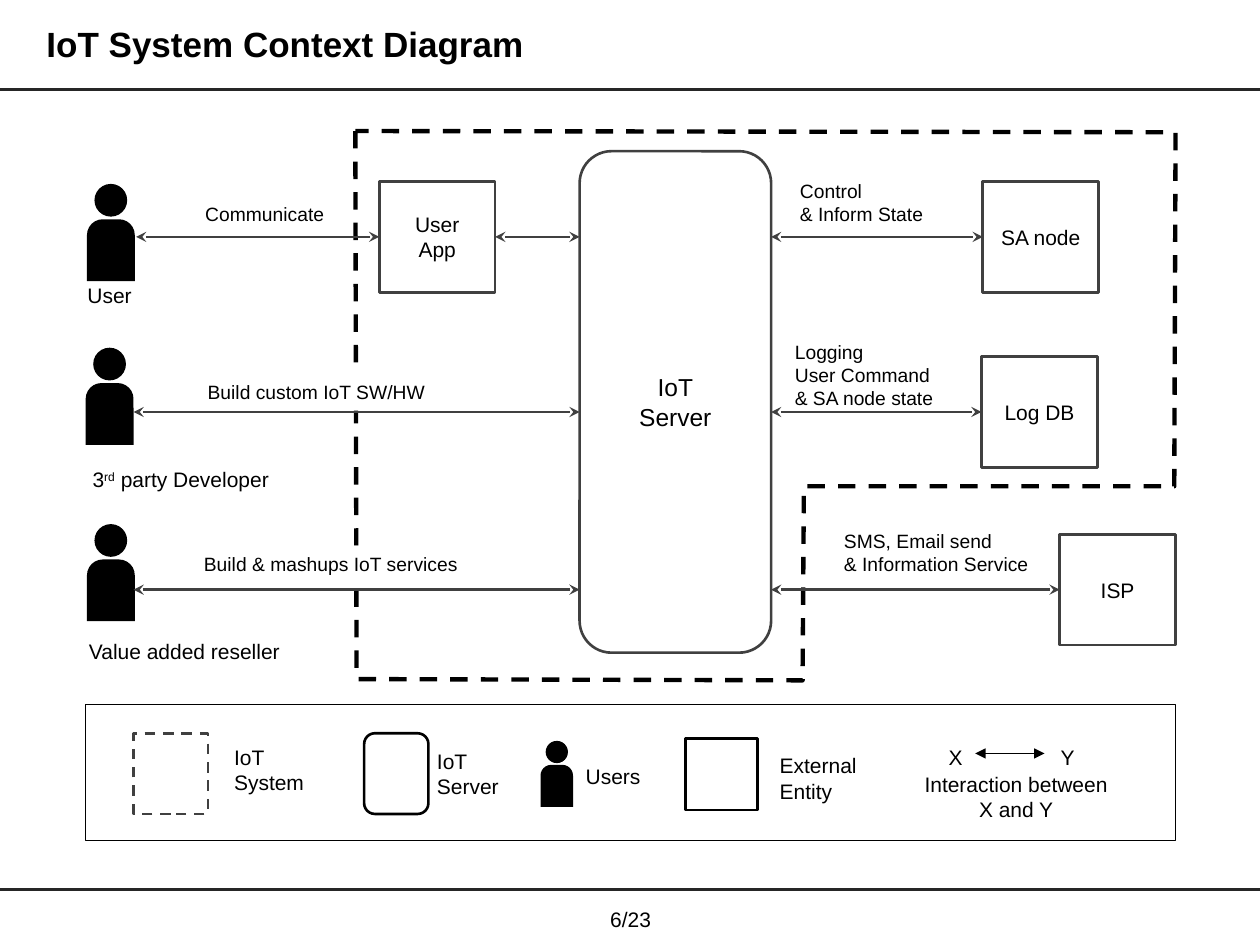
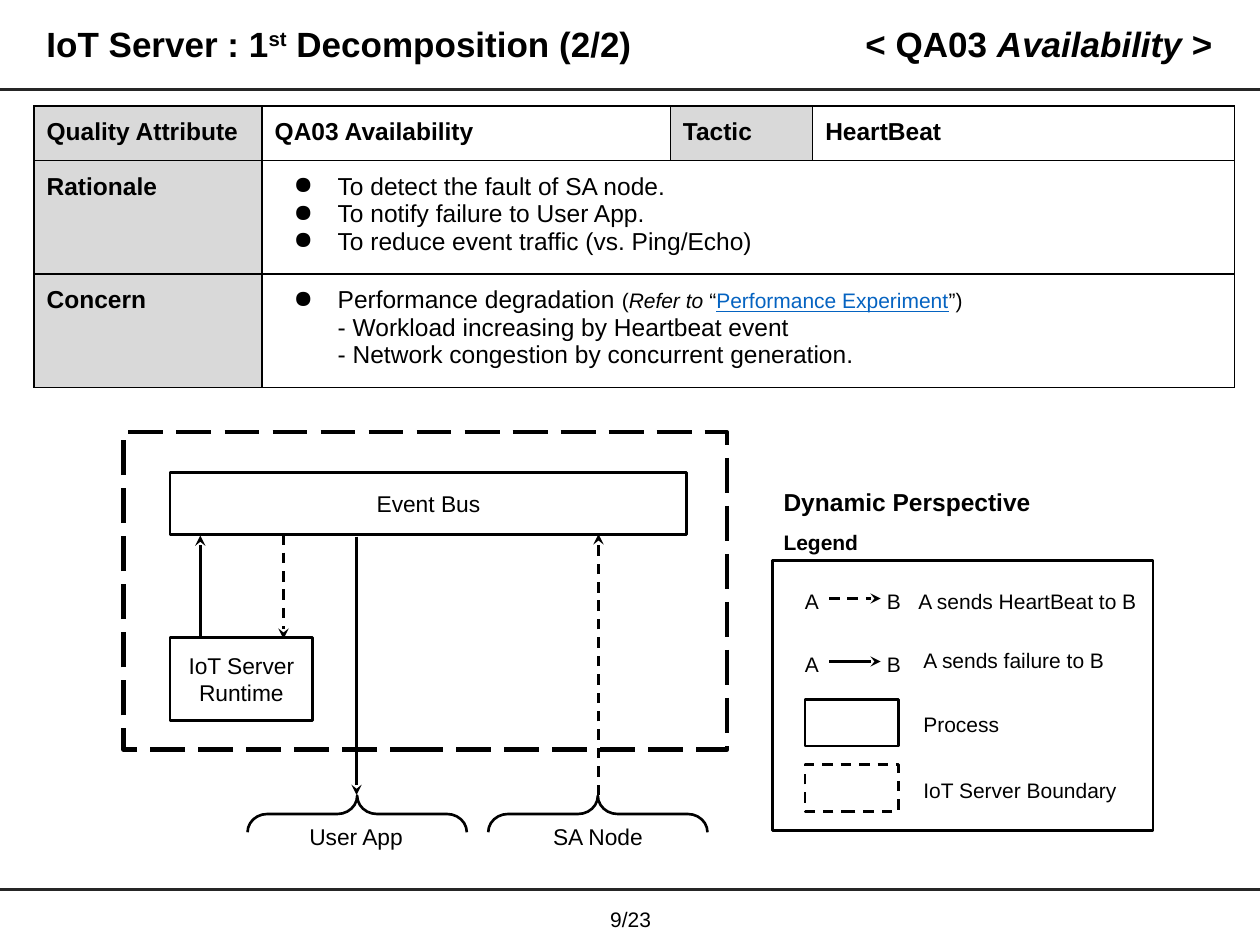
"""Builds two architecture slides: an IoT context diagram and a server decomposition."""
from lxml import etree
from pptx import Presentation
from pptx import util as u
from pptx.dml import color as dml
from pptx.enum import dml as lines, shapes, text
from pptx.oxml import ns

BLACK, WHITE, GRAPHITE = "000000", "FFFFFF", "404040"
RULE, LABEL_FILL, LINK = "262626", "D9D9D9", "0563C1"
FONT = "Arial"
LEFT, CENTER, RIGHT = text.PP_ALIGN.LEFT, text.PP_ALIGN.CENTER, text.PP_ALIGN.RIGHT
TOP, MIDDLE = text.MSO_ANCHOR.TOP, text.MSO_ANCHOR.MIDDLE
DASH, LONG_DASH = lines.MSO_LINE.DASH, lines.MSO_LINE.LONG_DASH
FORM = shapes.MSO_SHAPE
SUPERSCRIPT = {"baseline": 30000}
ITALIC = {"italic": True}


def rgb(value):
    """Turn a hex string into a colour."""
    return dml.RGBColor.from_string(value)


def inches(*values):
    """Turn numbers into lengths."""
    return [u.Inches(value) for value in values]


def sub(parent, tag, **attributes):
    """Append a drawing element to a parent."""
    return etree.SubElement(parent, ns.qn(f"a:{tag}"), {k: str(v) for k, v in attributes.items()})


def add_run(paragraph, words, style):
    """Add one run with its character format."""
    run = paragraph.add_run()
    run.text = words
    style = {"name": FONT, "size": 12, "color": BLACK, **style}
    run.font.color.rgb = rgb(style.pop("color"))
    if "baseline" in style:
        run._r.get_or_add_rPr().set("baseline", str(style.pop("baseline")))
    style["size"] = u.Pt(style["size"])
    for name, value in style.items():
        setattr(run.font, name, value)


def write(frame, paragraphs, align=LEFT, spacing=None, **style):
    """Fill a frame; a paragraph is a string or a list of (words, format) runs."""
    for index, runs in enumerate(paragraphs):
        paragraph = frame.paragraphs[0] if index == 0 else frame.add_paragraph()
        paragraph.alignment = align
        if spacing:
            paragraph.line_spacing = spacing
        for words, extra in [(runs, {})] if isinstance(runs, str) else runs:
            add_run(paragraph, words, {**style, **extra})


def set_frame(frame, anchor, insets, wrap=True):
    """Set anchor, wrapping and (horizontal, vertical) insets of a frame."""
    across, down = inches(*insets)
    layout = {"vertical_anchor": anchor, "word_wrap": wrap, "margin_left": across,
              "margin_right": across, "margin_top": down, "margin_bottom": down}
    for name, value in layout.items():
        setattr(frame, name, value)


def add_label(slide, at, paragraphs, anchor=MIDDLE, insets=(0.1, 0.05), wrap=True, fill=None, **style):
    """Add a text box."""
    label = slide.shapes.add_textbox(*inches(*at))
    if fill:
        label.fill.solid()
        label.fill.fore_color.rgb = rgb(fill)
    set_frame(label.text_frame, anchor, insets, wrap)
    write(label.text_frame, paragraphs, **style)


def paint(shape, fill=None, line=None, width=1.5, dash=None):
    """Set fill and outline of a shape and drop its shadow."""
    shape.shadow.inherit = False
    if fill:
        shape.fill.solid()
        shape.fill.fore_color.rgb = rgb(fill)
    else:
        shape.fill.background()
    if line:
        shape.line.color.rgb = rgb(line)
        shape.line.width = u.Pt(width)
        shape.line.dash_style = dash
    else:
        shape.line.fill.background()


def add_box(slide, at, paragraphs=(), form=FORM.RECTANGLE, insets=(0.1, 0.05), size=12, **look):
    """Add a preset shape with centred text."""
    box = slide.shapes.add_shape(form, *inches(*at))
    paint(box, **look)
    set_frame(box.text_frame, MIDDLE, insets)
    write(box.text_frame, paragraphs, CENTER, size=size)
    return box


def add_person(slide, left, top, scale=1.0):
    """Add a figure made of a head and a body."""
    body = [left, top + 0.28 * scale, 0.38 * scale, 0.49 * scale]
    torso = add_box(slide, body, form=FORM.ROUND_2_SAME_RECTANGLE, fill=BLACK)
    torso.adjustments[0] = 0.33
    head = [left + 0.06 * scale, top, 0.26 * scale, 0.26 * scale]
    add_box(slide, head, form=FORM.OVAL, fill=BLACK)


def add_line(slide, start, end, color=BLACK, width=1.5, dash=None, tip=None, both=False,
             source=None, target=None):
    """Add a straight line with optional tips, joined to (shape, site) pairs."""
    line = slide.shapes.add_connector(shapes.MSO_CONNECTOR.STRAIGHT, *inches(*start, *end))
    if source:
        line.begin_connect(*source)
    if target:
        line.end_connect(*target)
    line.line.color.rgb = rgb(color)
    line.line.width = u.Pt(width)
    line.line.dash_style = dash
    properties = line._element.spPr
    outline = line.line._get_or_add_ln()
    if both:
        sub(outline, "headEnd", type=tip)
    if tip:
        sub(outline, "tailEnd", type=tip)
    sub(properties, "effectLst")


def add_title(slide, at, runs, align=LEFT):
    """Add a slide heading."""
    add_label(slide, at, [runs], align=align, spacing=0.9, size=20, bold=True)


def new_slide(deck, page):
    """Add a blank slide with its two rules and page number."""
    slide = deck.slides.add_slide(deck.slide_layouts[6])
    for y in (0.71, 7.06):
        add_line(slide, (0, y), (10, y), RULE, 1.75)
    add_label(slide, (4.62, 7.14, 0.77, 0.31), [f"{page}/23"], align=CENTER)
    return slide


def add_system_boundary(slide):
    """Outline the IoT system with a dashed freeform."""
    corners = [(2.83, 5.39), (6.37, 5.4), (6.38, 3.86), (9.32, 3.86), (9.33, 1.05)]
    builder = slide.shapes.build_freeform(*inches(2.82, 1.04), scale=1.0)
    builder.add_line_segments([inches(*corner) for corner in corners], close=True)
    paint(builder.convert_to_shape(), line=BLACK, width=2.5, dash=DASH)


def add_context(slide):
    """Draw people, server, entities and the interactions between them."""
    user_y, developer_y, reseller_y = 1.88, 3.27, 4.68
    server_left, server_right = 4.6, 6.12
    link = {"color": GRAPHITE, "tip": "stealth", "both": True}

    add_system_boundary(slide)
    add_box(slide, (server_left, 1.2, 1.52, 3.98), ["IoT", "Server"], FORM.ROUNDED_RECTANGLE,
            size=14, line=GRAPHITE)
    for left, top in ((0.69, 1.46), (0.68, 2.76), (0.69, 4.16)):
        add_person(slide, left, top)

    def entity(left, y, *words):
        return add_box(slide, (left, y - 0.44, 0.92, 0.88), words, fill=WHITE, line=GRAPHITE)

    user_app = entity(3.01, user_y, "User", "App")
    add_line(slide, (1.08, user_y), (3.01, user_y), target=(user_app, 1), **link)
    add_line(slide, (3.93, user_y), (server_left, user_y), source=(user_app, 3), **link)
    for y in (developer_y, reseller_y):
        add_line(slide, (1.06, y), (server_left, y), **link)
    for left, y, name in ((7.8, user_y, "SA node"), (7.79, developer_y, "Log DB"),
                          (8.41, reseller_y, "ISP")):
        add_line(slide, (server_right, y), (left, y), target=(entity(left, y, name), 1), **link)

    for at, runs in (
        ((0.45, 2.19, 0.84, 0.31), "User"),
        ((0.4, 3.65, 2.07, 0.31), [("3", {}), ("rd", SUPERSCRIPT), (" party Developer", {})]),
        ((0.43, 5.01, 2.07, 0.31), "Value added reseller"),
    ):
        add_label(slide, at, [runs], insets=(0.07, 0.04), align=CENTER)
    for at, words, fill in (
        ((1.53, 1.56, 1.15, 0.29), ["Communicate"], None),
        ((1.55, 2.97, 1.94, 0.29), ["Build custom IoT SW/HW"], WHITE),
        ((1.52, 4.33, 2.23, 0.29), ["Build & mashups IoT services"], WHITE),
        ((6.25, 1.37, 1.18, 0.47), ["Control", "& Inform State"], None),
        ((6.21, 2.65, 1.32, 0.66), ["Logging", "User Command", "& SA node state"], None),
        ((6.6, 4.15, 1.67, 0.47), ["SMS, Email send", "& Information Service"], WHITE),
    ):
        add_label(slide, at, words, anchor=TOP, wrap=False, fill=fill, size=11)


def add_context_legend(slide):
    """Draw the legend strip of the context diagram."""
    add_box(slide, (0.68, 5.59, 8.65, 1.08), fill=WHITE, line=BLACK, width=0.75)
    add_box(slide, (1.06, 5.82, 0.59, 0.64), fill=WHITE, line=GRAPHITE, dash=DASH)
    add_box(slide, (2.89, 5.82, 0.51, 0.64), form=FORM.ROUNDED_RECTANGLE, line=BLACK)
    add_person(slide, 4.29, 5.88, 0.68)
    add_box(slide, (5.44, 5.86, 0.57, 0.57), line=BLACK)
    add_line(slide, (7.74, 5.98), (8.29, 5.98), width=0.5, tip="triangle", both=True)
    for at, words, align in (
        ((1.76, 5.86, 0.96, 0.5), ["IoT", "System"], LEFT),
        ((3.37, 5.89, 0.96, 0.5), ["IoT", "Server"], LEFT),
        ((4.55, 6.01, 0.64, 0.3), ["Users"], LEFT),
        ((6.09, 5.92, 1.04, 0.51), ["External Entity"], LEFT),
        ((7.43, 5.86, 0.31, 0.3), ["X"], LEFT),
        ((8.32, 5.86, 0.31, 0.3), ["Y"], LEFT),
        ((7.04, 6.07, 2.05, 0.5), ["Interaction between", "X and Y"], CENTER),
    ):
        add_label(slide, at, words, align=align)


def style_cell(cell, fill):
    """Give a cell black borders, a fill and even insets."""
    properties = cell._tc.get_or_add_tcPr()
    for side in ("lnL", "lnR", "lnT", "lnB"):
        border = sub(properties, side, w=u.Pt(1))
        sub(sub(border, "solidFill"), "srgbClr", val=BLACK)
    cell.fill.solid()
    cell.fill.fore_color.rgb = rgb(fill)
    for side in ("left", "right", "top", "bottom"):
        setattr(cell, f"margin_{side}", u.Inches(0.1))


def indent(paragraph, bullet):
    """Indent a paragraph, with a hanging bullet if asked."""
    properties = paragraph._p.get_or_add_pPr()
    properties.set("marL", str(u.Inches(0.5)))
    properties.set("indent", str(u.Inches(-0.35 if bullet else 0)))
    if bullet:
        sub(sub(properties, "buClr"), "srgbClr", val=BLACK)
        sub(properties, "buChar", char="●")


def add_quality_table(slide):
    """Add the quality attribute table."""
    widths, heights = (1.81, 3.24, 1.13, 3.35), (0.41, 0.86, 0.86)
    table = slide.shapes.add_table(3, 4, *inches(0.27, 0.84, sum(widths), sum(heights))).table
    table.first_row = table.horz_banding = False
    for column, width in zip(table.columns, widths):
        column.width = u.Inches(width)
    for row, height in zip(table.rows, heights):
        row.height = u.Inches(height)
    headings = {(0, 0): "Quality Attribute", (0, 1): "QA03 Availability", (0, 2): "Tactic",
                (0, 3): "HeartBeat", (1, 0): "Rationale", (2, 0): "Concern"}
    for r in range(3):
        for c in range(4):
            style_cell(table.cell(r, c), LABEL_FILL if c == 0 or (r, c) == (0, 2) else WHITE)
    for place, words in headings.items():
        write(table.cell(*place).text_frame, [words], size=14, bold=True)
    small = {"size": 12}
    rationale = ["To detect the fault of SA node.", "To notify failure to User App.",
                 "To reduce event traffic (vs. Ping/Echo)"]
    concern = [[("Performance degradation ", {}), ("(", small), ("Refer to", {**small, **ITALIC}),
                (" “", small), ("Performance Experiment", {**small, "color": LINK, "underline": True}),
                ("”)", small)],
               "- Workload increasing by Heartbeat event",
               "- Network congestion by concurrent generation."]
    for r, paragraphs, bullets in ((1, rationale, 3), (2, concern, 1)):
        cell = table.cell(r, 1)
        cell.merge(table.cell(r, 3))
        write(cell.text_frame, paragraphs, size=14)
        for index, paragraph in enumerate(cell.text_frame.paragraphs):
            indent(paragraph, index < bullets)


def add_heartbeat_flow(slide):
    """Draw the processes inside the server boundary and their messages."""
    solid = {"fill": WHITE, "line": BLACK, "size": 13, "insets": (0.1, 0.1)}
    add_box(slide, (1.35, 5.06, 1.13, 0.66), ["IoT Server Runtime"], **solid)
    add_box(slide, (1.35, 3.75, 4.1, 0.49), ["Event Bus"], **solid)
    for left, name_at, name in ((2.69, (2.19, 6.45, 1.27, 0.37), "User App"),
                                (4.6, (4.18, 6.45, 1.13, 0.37), "SA Node")):
        add_label(slide, name_at, [name], insets=(0.1, 0.1), align=CENTER, size=13)
        brace = add_box(slide, (left, 5.59, 0.29, 1.74), form=FORM.RIGHT_BRACE, line=BLACK)
        brace.rotation = 270
        brace.adjustments[0] = 0.54
    add_box(slide, (0.98, 3.43, 4.79, 2.52), line=BLACK, width=2.5, dash=LONG_DASH)
    for x, start, end, dash in ((1.59, 5.06, 4.25, None), (2.25, 4.24, 5.07, DASH),
                                (2.83, 4.26, 6.31, None), (4.75, 6.31, 4.24, DASH)):
        add_line(slide, (x, start), (x, end), dash=dash, tip="stealth")


def add_flow_legend(slide):
    """Draw the legend of the dynamic perspective."""
    style = {"anchor": TOP, "insets": (0.1, 0.1)}
    add_label(slide, (6.12, 3.65, 2.78, 0.66), ["Dynamic Perspective", [("Legend", {"size": 12})]],
              spacing=1.5, size=14, bold=True, **style)
    add_box(slide, (6.13, 4.45, 3.02, 2.14), line=BLACK)
    for top, dash in ((4.57, DASH), (5.07, None)):
        add_line(slide, (6.58, top + 0.18), (6.99, top + 0.18), dash=dash, tip="stealth")
        for left, end in ((6.29, "A"), (6.94, "B")):
            add_label(slide, (left, top, 0.29, 0.37), [end], **style)
    for top, dash in ((5.55, None), (6.07, DASH)):
        add_box(slide, (6.39, top, 0.74, 0.37), fill=WHITE, line=BLACK, dash=dash)
    for left, top, meaning in ((7.19, 4.57, "A sends HeartBeat to B"), (7.23, 5.04, "A sends failure to B"),
                               (7.23, 5.55, "Process"), (7.23, 6.07, "IoT Server Boundary")):
        add_label(slide, (left, top, 1.99, 0.37), [meaning], **style)


def main():
    """Build and save the deck."""
    deck = Presentation()
    deck.slide_width, deck.slide_height = inches(10, 7.5)

    context = new_slide(deck, 6)
    add_title(context, (0.27, 0.1, 8.52, 0.53), "IoT System Context Diagram")
    add_context(context)
    add_context_legend(context)

    server = new_slide(deck, 9)
    add_title(server, (0.27, 0.1, 6.18, 0.53),
              [("IoT Server : 1", {}), ("st", SUPERSCRIPT), (" Decomposition (2/2)", {})])
    add_title(server, (6.67, 0.1, 3.05, 0.53),
              [("< QA03 ", {}), ("Availability ", ITALIC), (">", {})], RIGHT)
    add_quality_table(server)
    add_heartbeat_flow(server)
    add_flow_legend(server)
    deck.save("out.pptx")


if __name__ == "__main__":
    main()
